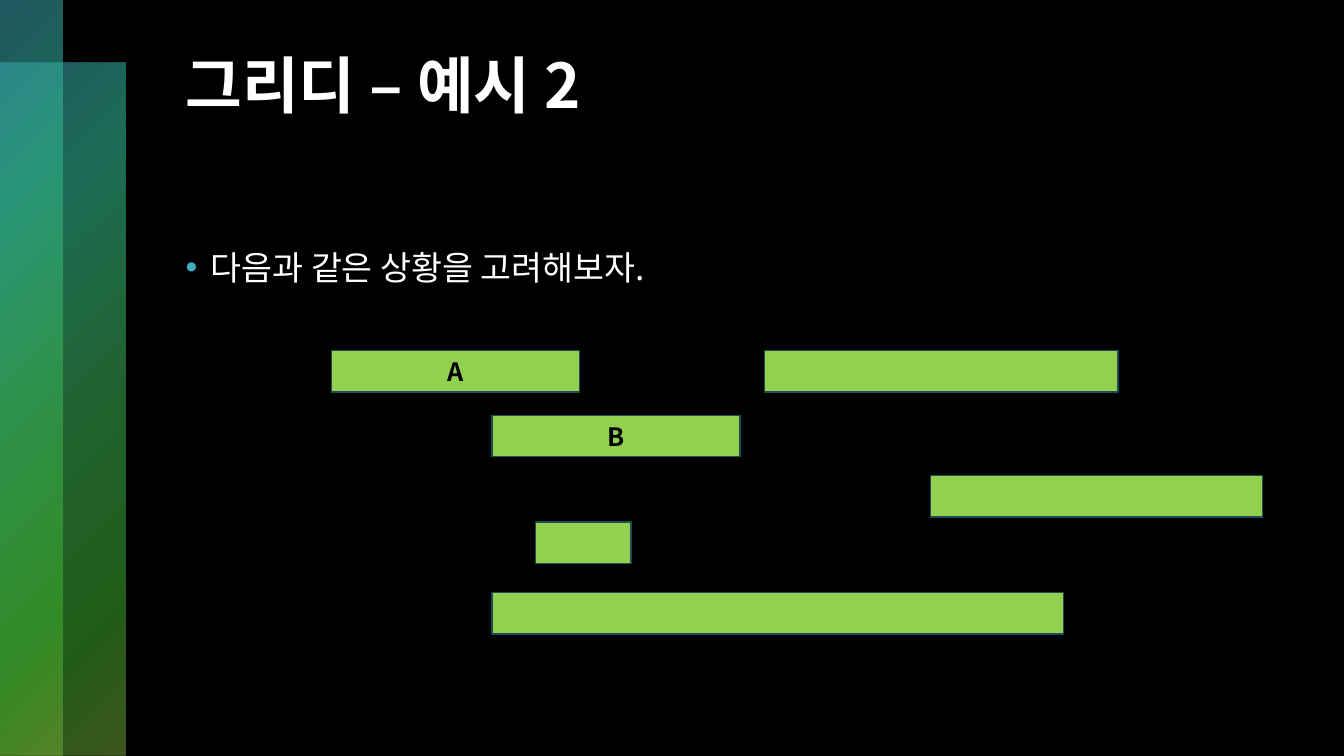
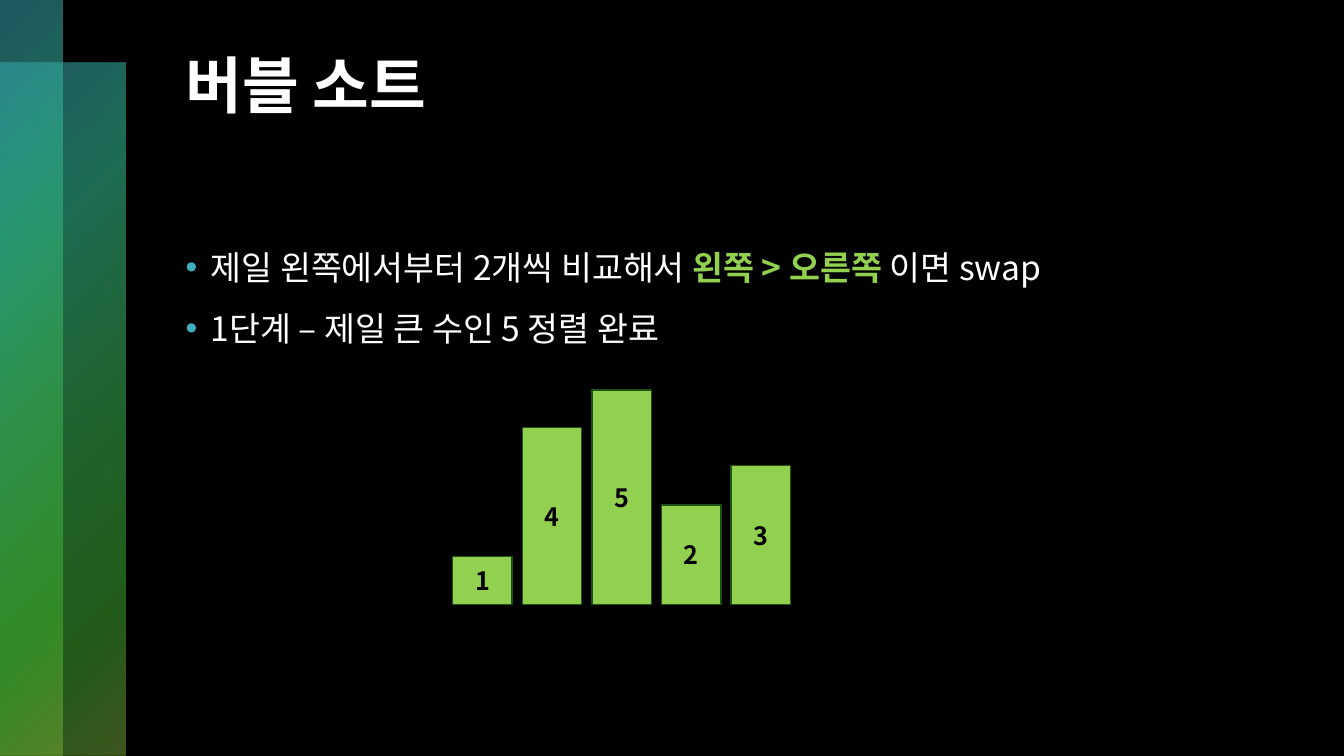
from dataclasses import dataclass

from lxml import etree
from pptx import Presentation
from pptx.dml.color import RGBColor
from pptx.enum.shapes import MSO_SHAPE as Preset
from pptx.enum.text import MSO_ANCHOR as Anchor, PP_ALIGN as Align
from pptx.oxml import parse_xml
from pptx.oxml.ns import nsdecls, qn
from pptx.util import Inches, Pt


@dataclass(frozen=True)
class Theme:
    font: str = "Noto Sans CJK KR"
    title_size: int = 44
    body_size: int = 24
    label_size: int = 18
    background: str = "000000"
    text: str = "FFFFFF"
    bullet: str = "3FAFBF"
    accent: str = "92D050"
    label: str = "000000"
    interval_line: str = "1C4D54"
    column_line: str = "1D5115"
    # Position %, colour, opacity %
    band_stops: tuple = ((0, "3FAFBF", 50), (25, "30B58E", 60), (50, "3CB65F", 55),
                         (81, "43B931", 50), (99, "7AAF3A", 50))


THEME = Theme()


# Text and formatting helpers
def set_attributes(target, values):
    for name, value in values.items():
        setattr(target, name, value)


def place(shape, left, top, width, height):
    set_attributes(shape, {"left": Inches(left), "top": Inches(top),
                           "width": Inches(width), "height": Inches(height)})


def add_run(paragraph, text, size, color, bold=False):
    run = paragraph.add_run()
    run.text = text
    set_attributes(run.font, {"name": THEME.font, "size": Pt(size), "bold": bold})
    run.font.color.rgb = RGBColor.from_string(color)
    east_asian = etree.Element(qn("a:ea"), typeface=THEME.font)
    run.font._element.find(qn("a:latin")).addnext(east_asian)


def add_bullet(paragraph):
    properties = paragraph._p.get_or_add_pPr()
    properties.set("marL", str(Inches(0.25)))
    properties.set("indent", str(Inches(-0.25)))
    color = etree.SubElement(properties, qn("a:buClr"))
    etree.SubElement(color, qn("a:srgbClr"), val=THEME.bullet)
    etree.SubElement(properties, qn("a:buFont"), typeface="Arial")
    etree.SubElement(properties, qn("a:buChar"), char="•")


# Shared layout: black background and two translucent bands
def band_gradient():
    stops = "".join(
        f'<a:gs pos="{position * 1000}"><a:srgbClr val="{color}">'
        f'<a:alpha val="{opacity * 1000}"/></a:srgbClr></a:gs>'
        for position, color, opacity in THEME.band_stops)
    return parse_xml(
        f'<a:gradFill {nsdecls("a")} rotWithShape="1"><a:gsLst>{stops}</a:gsLst>'
        '<a:path path="circle"><a:fillToRect r="100000" b="100000"/></a:path></a:gradFill>')


def add_rectangle(slide, left, top, width, height):
    shape = slide.shapes.add_shape(Preset.RECTANGLE, Inches(left), Inches(top),
                                   Inches(width), Inches(height))
    shape.shadow.inherit = False
    return shape


def decorate_layout(layout, slide):
    fill = layout.background.fill
    fill.solid()
    fill.fore_color.rgb = RGBColor.from_string(THEME.background)
    bands = ((0, 0.62, 1.24, 6.88), (0, 0, 0.62, 7.5))
    for position, bounds in enumerate(bands, start=2):
        band = add_rectangle(slide, *bounds)
        band.line.fill.background()
        band.fill.background()
        properties = band.element.spPr
        properties.replace(properties.find(qn("a:noFill")), band_gradient())
        layout.shapes.element.insert(position, band.element)


# Slide elements
def add_title(slide, text):
    title = slide.shapes.title
    place(title, 1.74, 0.5, 10.37, 1.7)
    title.text_frame.vertical_anchor = Anchor.TOP
    paragraph = title.text_frame.paragraphs[0]
    set_attributes(paragraph, {"alignment": Align.LEFT, "line_spacing": 0.9})
    add_run(paragraph, text, THEME.title_size, THEME.text, bold=True)


def add_list(slide, items, width):
    """Each item is a list of (text, highlighted) pairs."""
    body = slide.placeholders[1]
    place(body, 1.74, 2.36, width, 4.29)
    frame = body.text_frame
    for index, item in enumerate(items):
        paragraph = frame.add_paragraph() if index else frame.paragraphs[0]
        set_attributes(paragraph, {"line_spacing": 1.1,
                                   "space_before": Pt(12 if index else 0)})
        add_bullet(paragraph)
        for text, highlighted in item:
            color = THEME.accent if highlighted else THEME.text
            add_run(paragraph, text, THEME.body_size, color, highlighted)


def add_bar(slide, bounds, line_color, label=""):
    bar = add_rectangle(slide, *bounds)
    bar.fill.solid()
    bar.fill.fore_color.rgb = RGBColor.from_string(THEME.accent)
    bar.line.color.rgb = RGBColor.from_string(line_color)
    bar.line.width = Pt(1)
    if label:
        bar.text_frame.vertical_anchor = Anchor.MIDDLE
        paragraph = bar.text_frame.paragraphs[0]
        paragraph.alignment = Align.CENTER
        add_run(paragraph, label, THEME.label_size, THEME.label, bold=True)


# Slides
def build_greedy(slide):
    add_title(slide, "그리디 – 예시 2")
    add_list(slide, [[("다음과 같은 상황을 고려해보자.", False)]], 10.78)
    # Left, top, width, label
    intervals = ((3.29, 3.48, 2.46, "A"), (4.88, 4.12, 2.46, "B"),
                 (7.58, 3.48, 3.51, ""), (9.23, 4.72, 3.29, ""),
                 (5.31, 5.18, 0.95, ""), (4.88, 5.88, 5.67, ""))
    for left, top, width, label in intervals:
        add_bar(slide, (left, top, width, 0.41), THEME.interval_line, label)


def build_bubble_sort(slide):
    add_title(slide, "버블 소트")
    add_list(slide, [
        [("제일 왼쪽에서부터 2개씩 비교해서 ", False), ("왼쪽 > 오른쪽 ", True),
         ("이면 swap", False)],
        [("1단계 – 제일 큰 수인 5 정렬 완료", False)],
    ], 10.37)
    heights = {1: 0.48, 2: 0.99, 3: 1.38, 4: 1.76, 5: 2.13}
    first_left, pitch, baseline = 4.49, 0.69, 6.0
    for index, value in enumerate((1, 4, 5, 2, 3)):
        height = heights[value]
        bounds = (first_left + index * pitch, baseline - height, 0.59, height)
        add_bar(slide, bounds, THEME.column_line, str(value))


def main():
    presentation = Presentation()
    set_attributes(presentation, {"slide_width": Inches(13.33),
                                  "slide_height": Inches(7.5)})
    layout = presentation.slide_layouts[1]
    greedy, bubble_sort = (presentation.slides.add_slide(layout) for _ in range(2))
    decorate_layout(layout, greedy)
    build_greedy(greedy)
    build_bubble_sort(bubble_sort)
    presentation.save("out.pptx")


if __name__ == "__main__":
    main()
